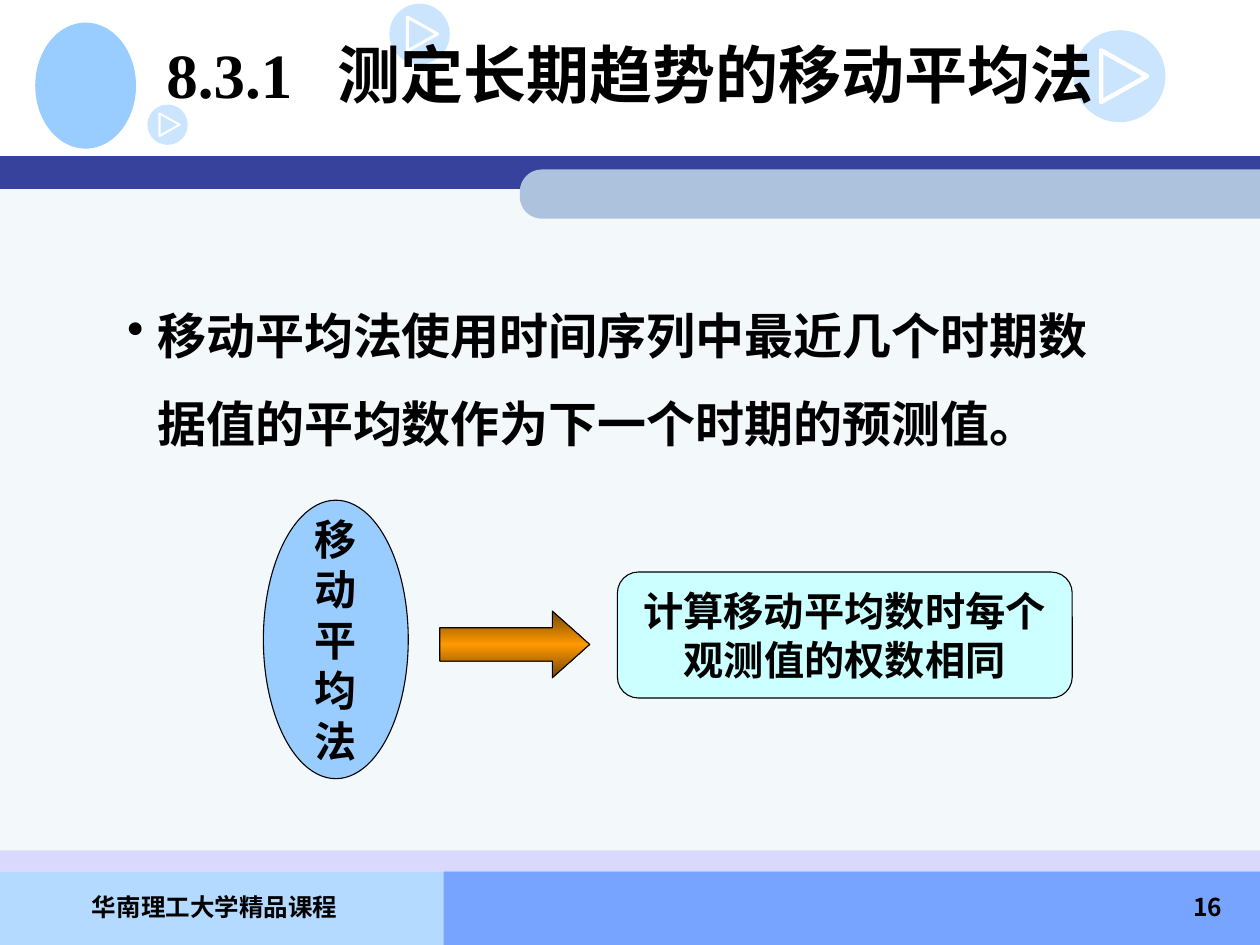
from pptx import Presentation
from pptx.dml.color import RGBColor
from pptx.enum.shapes import MSO_SHAPE
from pptx.enum.text import MSO_ANCHOR, PP_ALIGN
from pptx.oxml.ns import qn
from pptx.util import Inches, Pt
from lxml.etree import SubElement

COLORS = {
    "black": "000000", "white": "FFFFFF", "panel": "F3F8FB", "navy": "36429B",
    "steel": "ADC3DD", "sky": "99CCFF", "lavender": "CCCCFF", "footer_left": "B5DAFF",
    "footer_right": "77A4FF", "mint": "CCFFFF", "orange": "FF9900", "brown": "764700",
}


class CourseSlide:
    font = "Noto Sans CJK SC"
    outline = 0.62

    def __init__(self, deck):
        self.slide = deck.slides.add_slide(deck.slide_layouts[5])
        self.shapes = self.slide.shapes

    def color(self, name):
        return RGBColor.from_string(COLORS[name])

    def finish(self, shape, fill=None, line=None, width=outline, alpha=None):
        shape.shadow.inherit = False
        if fill:
            shape.fill.solid()
            shape.fill.fore_color.rgb = self.color(fill)
            if alpha:
                tint = shape.fill._xPr.find(qn("a:solidFill"))[0]
                SubElement(tint, qn("a:alpha"), val=str(alpha * 1000))
        else:
            shape.fill.background()
        if line:
            shape.line.color.rgb = self.color(line)
            shape.line.width = Pt(width)
        else:
            shape.line.fill.background()
        return shape

    def block(self, kind, left, top, width, height, **style):
        shape = self.shapes.add_shape(
            kind, Inches(left), Inches(top), Inches(width), Inches(height))
        return self.finish(shape, **style)

    def play_badge(self, left, top, size):
        self.block(MSO_SHAPE.OVAL, left, top, size, size, fill="sky", alpha=50)
        points = [(Inches(left + x * size), Inches(top + y * size))
                  for x, y in ((0.3, 0.22), (0.3, 0.78), (0.8, 0.5))]
        builder = self.shapes.build_freeform(*points[0])
        builder.add_line_segments(points[1:], close=True)
        self.finish(builder.convert_to_shape(), line="white", width=3.6 * size)

    def label(self, shape, lines, size, align=PP_ALIGN.CENTER,
              anchor=MSO_ANCHOR.MIDDLE, wrap=False, latin=font, east=font):
        frame = shape.text_frame
        frame.word_wrap = wrap
        frame.vertical_anchor = anchor
        for index, line in enumerate(lines):
            paragraph = frame.add_paragraph() if index else frame.paragraphs[0]
            paragraph.alignment = align
            run = paragraph.add_run()
            run.text = line
            run.font.size = Pt(size)
            run.font.bold = True
            run.font.name = latin
            run.font.color.rgb = self.color("black")
            SubElement(run.font._element, qn("a:ea"), typeface=east)
        return frame.paragraphs[0]

    def text(self, left, top, width, height, line, size, **style):
        box = self.shapes.add_textbox(
            Inches(left), Inches(top), Inches(width), Inches(height))
        return self.label(box, [line], size, wrap=True, **style)

    def bullet(self, *place, indent):
        paragraph = self.text(*place, align=PP_ALIGN.LEFT)
        paragraph.line_spacing = 1.5
        properties = paragraph._p.get_or_add_pPr()
        properties.set("marL", str(Inches(indent)))
        properties.set("indent", str(-Inches(indent)))
        SubElement(properties, qn("a:buChar"), char="•")

    def arrow(self, left, top, width, height):
        arrow = self.block(MSO_SHAPE.RIGHT_ARROW, left, top, width, height, line="black")
        arrow.adjustments[1] = 0.56
        arrow.fill.gradient()
        arrow.fill.gradient_angle = 90
        stops = arrow.fill._xPr.find(qn("a:gradFill")).find(qn("a:gsLst"))
        for stop in list(stops):
            stops.remove(stop)
        for position, name in ((0, "brown"), (50, "orange"), (100, "brown")):
            stop = SubElement(stops, qn("a:gs"), pos=str(position * 1000))
            SubElement(stop, qn("a:srgbClr"), val=COLORS[name])

    def title(self, left, top, width, height, number, topic, gap):
        heading = self.shapes.title
        heading.left, heading.top = Inches(left), Inches(top)
        heading.width, heading.height = Inches(width), Inches(height)
        paragraph = self.label(heading, [f"{number}\t{topic}"], 36, align=PP_ALIGN.LEFT,
                               wrap=True, latin="Times New Roman")
        tabs = SubElement(paragraph._p.get_or_add_pPr(), qn("a:tabLst"))
        SubElement(tabs, qn("a:tab"), pos=str(Inches(gap)), algn="l")
        self.shapes._spTree.append(heading._element)


def main():
    deck = Presentation()
    deck.slide_width, deck.slide_height = Inches(10), Inches(7.5)
    page = CourseSlide(deck)

    for left, top, width, height, fill in (
        (0, 6.92, 4.25, 0.58, "footer_left"),
        (3.52, 6.91, 6.48, 0.59, "footer_right"),
        (0, 1.4, 10, 5.51, "panel"),
        (0, 1.24, 10, 0.26, "navy"),
    ):
        page.block(MSO_SHAPE.RECTANGLE, left, top, width, height, fill=fill)
    page.block(MSO_SHAPE.RECTANGLE, 0, 6.75, 10, 0.17, fill="lavender", alpha=69)

    ribbon = page.block(MSO_SHAPE.ROUND_2_SAME_RECTANGLE, 6.87, -1.4, 0.39, 5.88, fill="steel")
    ribbon.adjustments[0] = 0.45
    ribbon.rotation = 270

    page.block(MSO_SHAPE.OVAL, 0.28, 0.18, 0.8, 1, fill="sky")
    for left, top, size in ((3.09, 0.03, 0.48), (8.52, 0.24, 0.73), (1.17, 0.83, 0.32)):
        page.play_badge(left, top, size)

    page.text(0.12, 7.03, 3.17, 0.5, "华南理工大学精品课程", 14,
              anchor=MSO_ANCHOR.TOP, latin="Noto Sans CJK KR", east="Noto Sans CJK KR")
    page.text(7.72, 7.03, 2.08, 0.5, "16", 14, align=PP_ALIGN.RIGHT, anchor=MSO_ANCHOR.TOP)

    method = page.block(MSO_SHAPE.OVAL, 2.09, 3.97, 1.15, 2.21, fill="sky", line="black")
    page.label(method, "移动平均法", 24)
    page.arrow(3.49, 4.85, 1.19, 0.53)
    weights = page.block(MSO_SHAPE.ROUNDED_RECTANGLE, 4.9, 4.54, 3.61, 1,
                         fill="mint", line="black")
    page.label(weights, ["计算移动平均数时每个", "观测值的权数相同"], 23)

    page.bullet(0.91, 2.14, 8.19, 1.5,
                "移动平均法使用时间序列中最近几个时期数据值的平均数作为下一个时期的预测值。",
                28, indent=0.24)
    page.title(1.22, 0, 8.5, 1.17, "8.3.1", "测定长期趋势的移动平均法", gap=1.36)
    deck.save("out.pptx")


if __name__ == "__main__":
    main()
